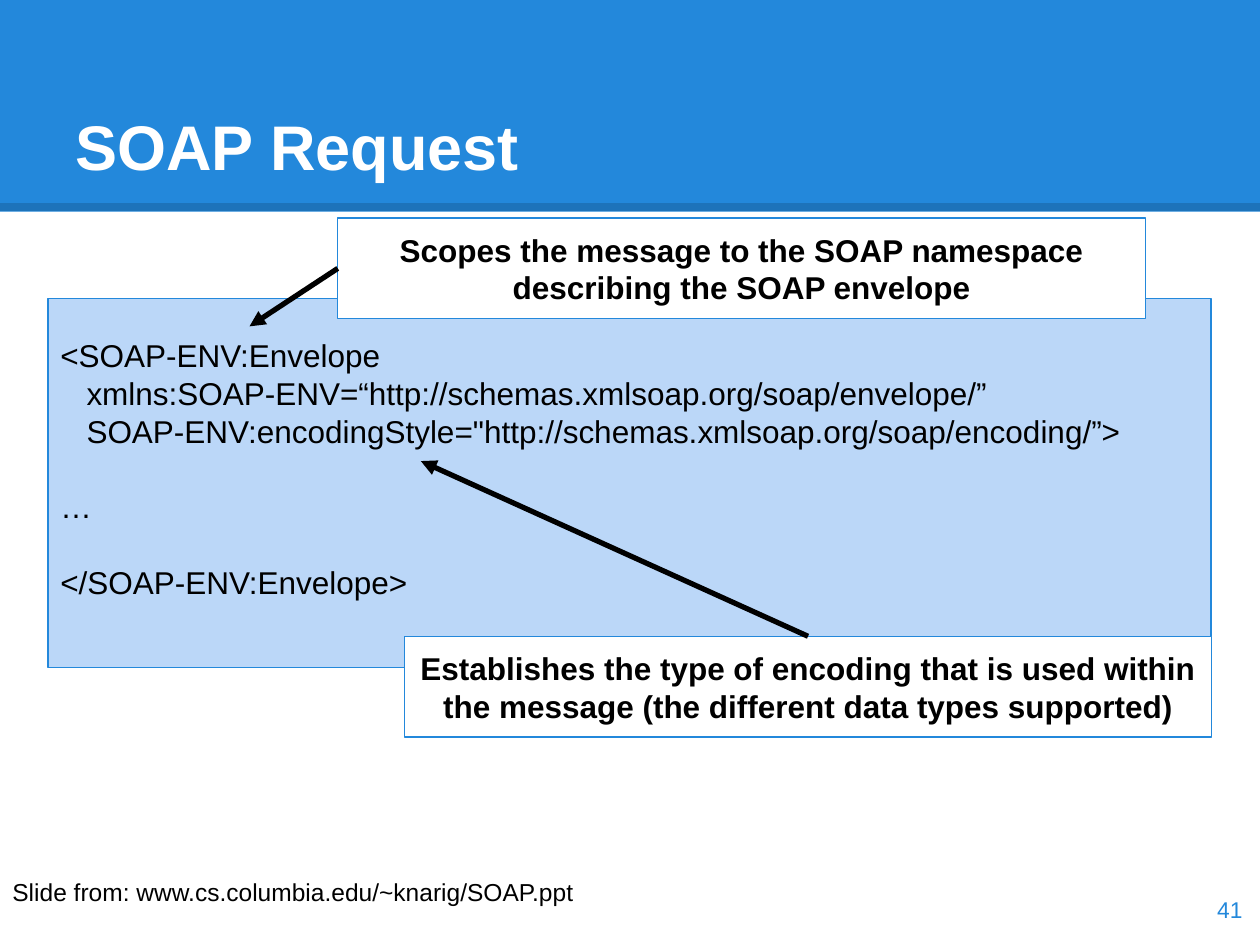
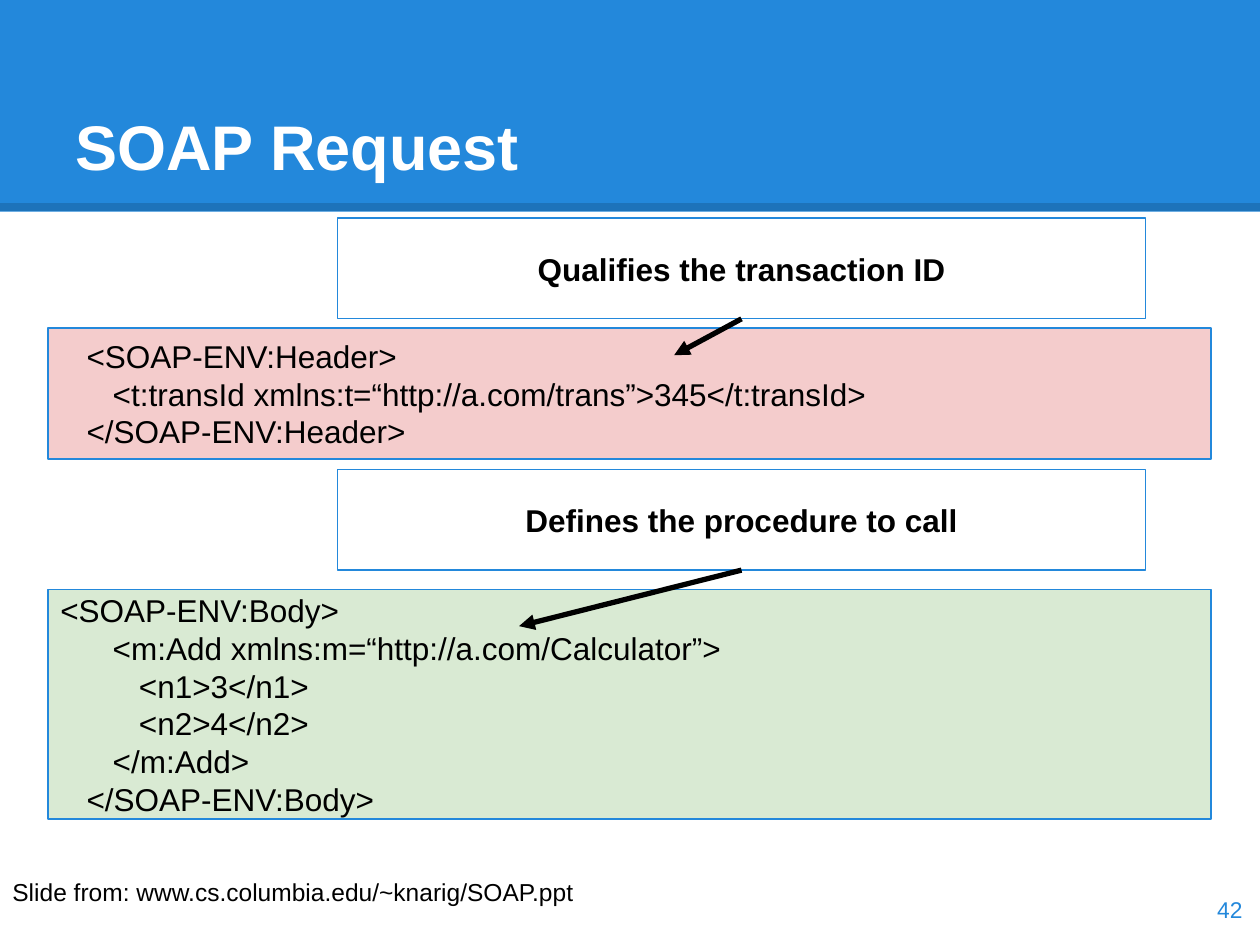
"""Build two SOAP Request slides: code panels with callouts and arrows."""
import pptx
import pptx.util
import pptx.dml.color
import pptx.enum.shapes
import pptx.enum.text
import pptx.oxml.ns
from lxml import etree

Pt = pptx.util.Pt
RGB = pptx.dml.color.RGBColor.from_string
RECT = pptx.enum.shapes.MSO_SHAPE.RECTANGLE
STRAIGHT = pptx.enum.shapes.MSO_CONNECTOR.STRAIGHT
ALIGN = pptx.enum.text.PP_ALIGN
ANCHOR = pptx.enum.text.MSO_ANCHOR
qn = pptx.oxml.ns.qn

COLORS = {
    "blue": "2388DB", "black": "000000", "white": "FFFFFF",
    "envelope": "BBD7F8", "header": "F4CCCC", "body": "D9EAD3",
}
FONT = "Arial"
CODE_SIZE = 18
LINE = 21.6
TOP, LEFT, BOTTOM = 0, 1, 2
PANEL_X, PANEL_W = 27.4, 664.6
CALLOUT_W, CALLOUT_H = 461.5, 57.6

SLIDES = [
    {
        "number": "41",
        "panels": [("envelope", 170.6, 211, 24, [
            ("<SOAP-ENV:Envelope", 0),
            ("   xmlns:SOAP-ENV=“http://schemas.xmlsoap.org/soap/envelope/”", 0),
            ("   SOAP-ENV:encodingStyle=\"http://schemas.xmlsoap.org/soap/encoding/”>", 0),
            ("…", LINE),
            ("</SOAP-ENV:Envelope>", LINE),
        ])],
        "callouts": [
            (193, 124.6, "Scopes the message to the SOAP namespace describing the SOAP envelope",
             LEFT, (142.6, 186.5)),
            (231, 363.6, "Establishes the type of encoding that is used within the message "
             "(the different data types supported)", TOP, (240.5, 263.5)),
        ],
    },
    {
        "number": "42",
        "panels": [
            ("header", 187.4, 75, 7.2, [
                ("   <SOAP-ENV:Header>", 0),
                ("      <t:transId xmlns:t=“http://a.com/trans”>345</t:transId>", 0),
                ("   </SOAP-ENV:Header>", 0),
            ]),
            ("body", 337, 131, 7.2, [
                ("<SOAP-ENV:Body>", 0),
                ("      <m:Add xmlns:m=“http://a.com/Calculator”>", 0),
                ("         <n1>3</n1>", 0),
                ("         <n2>4</n2>", 0),
                ("      </m:Add>", 0),
                ("   </SOAP-ENV:Body>", 0),
            ]),
        ],
        "callouts": [
            (193, 124.6, "Qualifies the transaction ID", BOTTOM, (385.2, 203)),
            (193, 268.2, "Defines the procedure to call", BOTTOM, (296.6, 357.8)),
        ],
    },
]


def add_box(s, x, y, w, h, lines, size, color="black", fill=None, bold=False,
            align=ALIGN.LEFT, anchor=ANCHOR.MIDDLE, bottom=7.2, spacing=None):
    if fill:
        sp = s.shapes.add_shape(RECT, Pt(x), Pt(y), Pt(w), Pt(h))
        sp.shadow.inherit = False
        sp.fill.solid()
        sp.fill.fore_color.rgb = RGB(COLORS[fill])
        sp.line.color.rgb = RGB(COLORS["blue"])
        sp.line.width = Pt(0.75)
    else:
        sp = s.shapes.add_textbox(Pt(x), Pt(y), Pt(w), Pt(h))
    tf = sp.text_frame
    tf.word_wrap = True
    tf.vertical_anchor = anchor
    tf.margin_left = tf.margin_right = tf.margin_top = Pt(7.2)
    tf.margin_bottom = Pt(bottom)
    for i, (text, before) in enumerate(lines):
        p = tf.add_paragraph() if i else tf.paragraphs[0]
        p.alignment = align
        if before:
            p.space_before = Pt(before)
        if spacing:
            p.line_spacing = Pt(spacing)
        r = p.add_run()
        r.text = text
        r.font.name = FONT
        r.font.size = Pt(size)
        r.font.bold = bold
        r.font.color.rgb = RGB(COLORS[color])
    return sp


def add_line(s, x1, y1, x2, y2, width):
    cn = s.shapes.add_connector(STRAIGHT, Pt(x1), Pt(y1), Pt(x2), Pt(y2))
    cn.line.color.rgb = RGB(COLORS["black"])
    cn.line.width = Pt(width)
    etree.SubElement(cn._element.spPr, qn("a:effectLst"))
    return cn


prs = pptx.Presentation()
prs.slide_width, prs.slide_height = Pt(720), Pt(540)

for slide in SLIDES:
    s = prs.slides.add_slide(prs.slide_layouts[6])

    band = s.shapes.add_shape(RECT, 0, 0, prs.slide_width, Pt(121))
    band.shadow.inherit = False
    band.fill.solid()
    band.fill.fore_color.rgb = RGB(COLORS["blue"])
    band.line.fill.background()
    edge = add_line(s, 0, 118.4, 720, 118.4, 4.5)
    clr = edge._element.spPr.find(".//" + qn("a:srgbClr"))
    etree.SubElement(clr, qn("a:alpha"), val="15000")

    add_box(s, 36, 21.6, 648, 90, [("SOAP Request", 0)], 36, "white", bold=True,
            anchor=ANCHOR.BOTTOM)
    add_box(s, 674, 499, 43, 41, [(slide["number"], 0)], 13, "blue", align=ALIGN.RIGHT)
    add_box(s, 0, 494, 348, 41, [("Slide from: www.cs.columbia.edu/~knarig/SOAP.ppt", 0)], 14,
            anchor=ANCHOR.TOP)

    for fill, y, h, bottom, lines in slide["panels"]:
        add_box(s, PANEL_X, y, PANEL_W, h, lines, CODE_SIZE, fill=fill, bottom=bottom,
                spacing=LINE)

    for x, y, text, side, target in slide["callouts"]:
        callout = add_box(s, x, y, CALLOUT_W, CALLOUT_H, [(text, 0)], CODE_SIZE, fill="white",
                          bold=True, align=ALIGN.CENTER, spacing=LINE)
        arrow = add_line(s, x, y, *target, 3)
        arrow.begin_connect(callout, side)
        ln = arrow._element.spPr.find(qn("a:ln"))
        etree.SubElement(ln, qn("a:tailEnd"), type="triangle")

prs.save("out.pptx")
